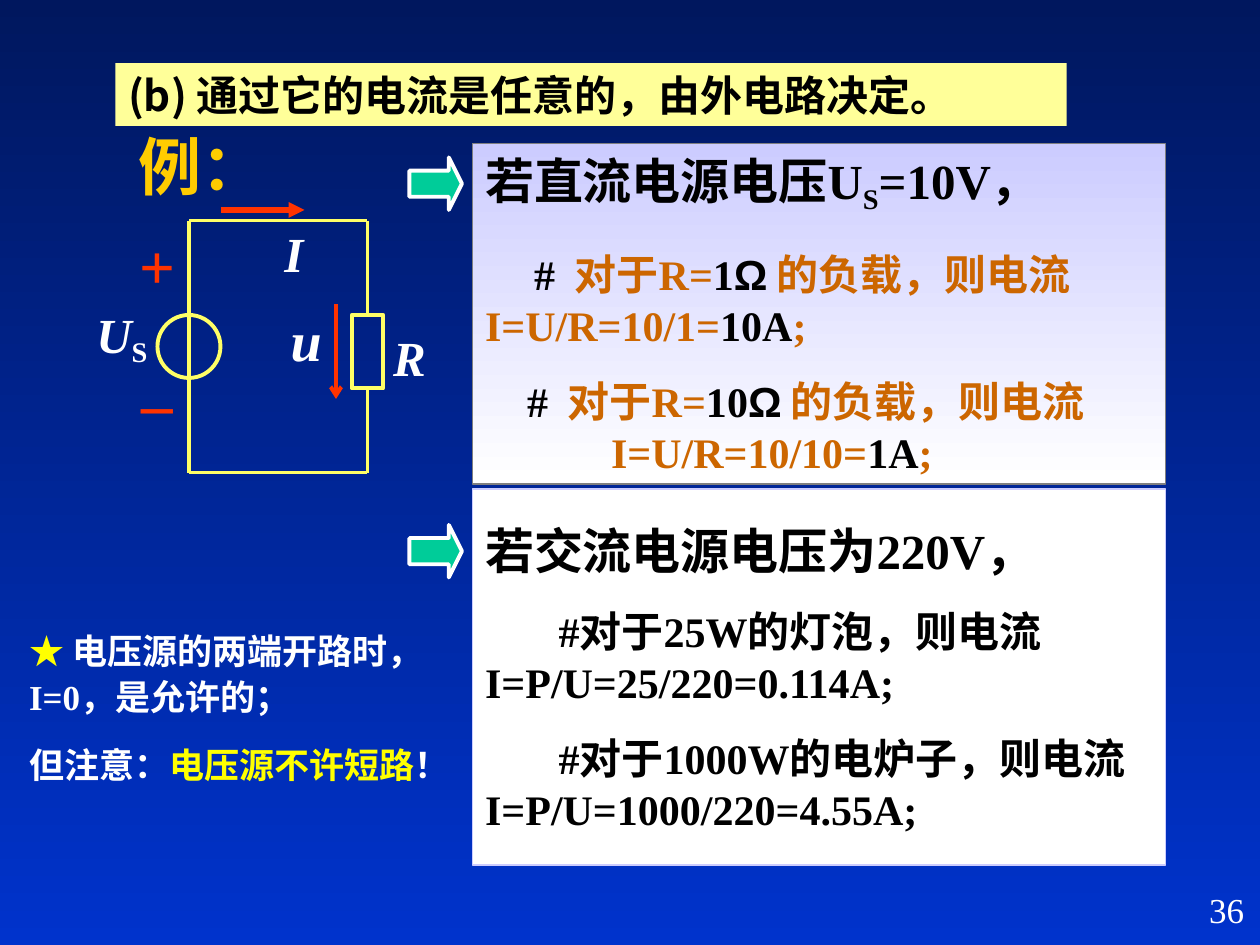
from dataclasses import dataclass
from typing import NamedTuple

from lxml import etree
from pptx import Presentation
from pptx.dml.color import RGBColor
from pptx.enum.shapes import MSO_CONNECTOR, MSO_SHAPE
from pptx.enum.text import MSO_ANCHOR, MSO_AUTO_SIZE, PP_ALIGN
from pptx.oxml.ns import qn
from pptx.util import Pt

RECT, OVAL, ARROW = MSO_SHAPE.RECTANGLE, MSO_SHAPE.OVAL, MSO_SHAPE.RIGHT_ARROW
STRAIGHT = MSO_CONNECTOR.STRAIGHT
LEFT, CENTER, RIGHT = PP_ALIGN.LEFT, PP_ALIGN.CENTER, PP_ALIGN.RIGHT
MIDDLE, TOP = MSO_ANCHOR.MIDDLE, MSO_ANCHOR.TOP
NO_FIT = MSO_AUTO_SIZE.NONE

NAVY = RGBColor(0x00, 0x17, 0x5E)
BLUE = RGBColor(0x00, 0x33, 0xCC)
WHITE = RGBColor(0xFF, 0xFF, 0xFF)
BLACK = RGBColor(0x00, 0x00, 0x00)
GRAY = RGBColor(0x80, 0x80, 0x80)
LAVENDER = RGBColor(0xCC, 0xCC, 0xFF)
CREAM = RGBColor(0xFF, 0xFF, 0x99)
WIRE = RGBColor(0xFF, 0xFF, 0x66)
YELLOW = RGBColor(0xFF, 0xFF, 0x00)
GOLD = RGBColor(0xFF, 0xCC, 0x00)
RED = RGBColor(0xFF, 0x33, 0x00)
ORANGE = RGBColor(0xCC, 0x66, 0x00)
GREEN = RGBColor(0x00, 0xCC, 0x99)

SERIF, SANS, SANS_KR = "Times New Roman", "Noto Sans CJK SC", "Noto Sans CJK KR"
BREAK = "\n"


class Box(NamedTuple):
    x: float
    y: float
    w: float
    h: float


class Run(NamedTuple):
    text: str
    size: float
    color: RGBColor
    font: dict = {}
    attrs: dict = {}


@dataclass
class Para:
    runs: list
    before: float = 0
    margin: float = 0
    indent: float = 0
    align: int = LEFT
    spacing: float = 1


@dataclass
class Label:
    box: Box
    paras: list
    anchor: int = MIDDLE


@dataclass
class Wire:
    start: tuple
    end: tuple
    color: RGBColor = WIRE
    width: float = 2.25
    head: str = ""


@dataclass
class Panel:
    box: Box
    top: RGBColor
    line: RGBColor
    paras: list


def gradient(fill, first: RGBColor, last: RGBColor) -> None:
    fill.gradient()
    fill.gradient_angle = 270
    for stop, color in zip(fill.gradient_stops, (first, last)):
        stop.color.rgb = color


def place(sp, box: Box) -> None:
    sp.left, sp.top, sp.width, sp.height = map(Pt, box)


def add_run(p, run: Run) -> None:
    if run.text == BREAK:
        p.add_line_break()
        return
    r = p.add_run()
    r.text = run.text
    fmt = {"name": SERIF, "size": Pt(run.size), "bold": True, **run.font}
    for key, value in fmt.items():
        setattr(r.font, key, value)
    r.font.color.rgb = run.color
    rPr = r.font._element
    for key, value in run.attrs.items():
        rPr.set(key, value)
    face = fmt["name"] if fmt["name"] == SANS_KR else SANS
    rPr.find(qn("a:latin")).addnext(etree.Element(qn("a:ea"), typeface=face))


def fill_text(sp, paras: list, anchor: int = MIDDLE) -> None:
    tf = sp.text_frame
    fmt = {"word_wrap": True, "auto_size": NO_FIT, "vertical_anchor": anchor}
    for key, value in fmt.items():
        setattr(tf, key, value)
    for i, para in enumerate(paras):
        p = tf.paragraphs[0] if i == 0 else tf.add_paragraph()
        pPr = p._p.get_or_add_pPr()
        pPr.set("marL", str(Pt(para.margin)))
        pPr.set("indent", str(Pt(para.indent)))
        etree.SubElement(pPr, qn("a:buNone"))
        fmt = {"alignment": para.align, "space_before": Pt(para.before),
               "line_spacing": para.spacing}
        for key, value in fmt.items():
            setattr(p, key, value)
        for run in para.runs:
            add_run(p, run)


def add_label(slide, label: Label) -> None:
    sp = slide.shapes.add_textbox(*map(Pt, label.box))
    fill_text(sp, label.paras, label.anchor)


def add_figure(slide, kind: int, box: Box, line: RGBColor, fill=None):
    sp = slide.shapes.add_shape(kind, *map(Pt, box))
    sp.shadow.inherit = False
    if fill is None:
        sp.fill.background()
    else:
        sp.fill.solid()
        sp.fill.fore_color.rgb = fill
    sp.line.color.rgb = line
    sp.line.width = Pt(2.25)
    return sp


def add_wire(slide, wire: Wire):
    s = slide.shapes.add_connector(STRAIGHT, *map(Pt, wire.start + wire.end))
    s.line.color.rgb = wire.color
    s.line.width = Pt(wire.width)
    if wire.head:
        etree.SubElement(s.line._get_or_add_ln(), qn("a:tailEnd"), type=wire.head)
    etree.SubElement(s._element.spPr, qn("a:effectLst"))
    return s


def symbol(box: Box, text: str, size: float, color=WHITE, italic=True, align=CENTER, sub=()) -> Label:
    return Label(box, [Para([Run(text, size, color, {"italic": italic}), *sub], align=align)])


def dc_case(ohms: str, formula: str, amps: str, before: float, margin: float, indent: float) -> Para:
    return Para([
        Run("# ", 24, BLACK, attrs={"spc": "260"}), Run("对于R=", 24, ORANGE), Run(ohms, 24, BLACK),
        Run("Ω", 24, BLACK, {"name": "Arial"}), Run(" ", 20, ORANGE),
        Run("的负载，则电流", 24, ORANGE), Run(BREAK, 24, ORANGE),
        Run(formula, 24, ORANGE), Run(amps, 24, BLACK), Run(";", 24, ORANGE),
    ], before, margin, indent)


def ac_case(load: str, gap: Run, formula: str) -> Para:
    return Para([Run(load, 24, BLACK), gap, Run(formula, 24, BLACK)], before=15, indent=42)


PANELS = [
    Panel(Box(270, 82, 396, 194.5), LAVENDER, GRAY, [
        Para([Run("若直流电源电压U", 28, BLACK), Run("S", 28, BLACK, attrs={"baseline": "-20000"}),
              Run("=10V，", 28, BLACK)]),
        dc_case("1", "I=U/R=10/1=", "10A", 19, 0, 28),
        dc_case("10", "I=U/R=10/10=", "1A", 15, 72, -48),
    ]),
    Panel(Box(270, 279.5, 396, 215), WHITE, LAVENDER, [
        Para([Run("若交流电源电压为220V，", 28, BLACK)]),
        ac_case("#对于25W的灯泡，则电流", Run(BREAK, 24, BLACK), "I=P/U=25/220=0.114A;"),
        ac_case("#对于1000W的电炉子，则电流", Run(" ", 24, BLACK, attrs={"spc": "4260"}),
                "I=P/U=1000/220=4.55A;"),
    ]),
]
LABELS = [
    symbol(Box(72, 69, 90, 50.5), "例：", 36, GOLD, False, LEFT),
    symbol(Box(48, 170, 54, 44), "U", 28, align=LEFT,
           sub=[Run("S", 28, WHITE, attrs={"baseline": "-18000"})]),
    symbol(Box(60, 126, 60, 50.5), "+", 36, RED, False),
    symbol(Box(60, 204, 60, 50.5), "–", 36, RED, False),
    symbol(Box(216, 183.5, 36, 41), "R", 28),
    symbol(Box(150, 124, 36, 41), "I", 28),
    symbol(Box(159, 170.5, 42, 46), "u", 32, align=LEFT),
    Label(Box(9.5, 353.5, 276, 99), [
        Para([Run("★ ", 20, YELLOW, {"name": SANS_KR}), Run("电压源的两端开路时，", 20, WHITE),
              Run(BREAK, 20, WHITE), Run("I=0，是允许的；", 20, WHITE)], spacing=1.1),
        Para([Run("但注意：", 20, WHITE), Run("电压源不许短路", 20, YELLOW), Run("！", 20, WHITE)],
             before=12.5, spacing=1.1),
    ]),
    Label(Box(568, 504, 150, 36), [Para([Run("36", 20, WHITE, {"bold": False})], align=RIGHT)], TOP),
]
WIRES = [
    Wire((108, 126), (108, 270)),
    Wire((108, 126), (210, 126)),
    Wire((108, 270), (210, 270)),
    Wire((126, 120), (174, 120), RED, 3, "triangle"),
    Wire((192, 174), (192, 228), RED, 2.25, "arrow"),
]


def main() -> None:
    prs = Presentation()
    prs.slide_width, prs.slide_height = Pt(720), Pt(540)
    slide = prs.slides.add_slide(prs.slide_layouts[3])
    gradient(slide.background.fill, NAVY, BLUE)

    title, *bodies = slide.placeholders
    place(title, Box(66, 36, 543.5, 36))
    title.fill.solid()
    title.fill.fore_color.rgb = CREAM
    fill_text(title, [Para([Run("(b) 通过它的电流是任意的，由外电路决定。", 24, BLACK, {"name": SANS})])])

    for sp, panel in zip(bodies, PANELS):
        place(sp, panel.box)
        gradient(sp.fill, panel.top, WHITE)
        sp.line.color.rgb = panel.line
        sp.line.width = Pt(1)
        fill_text(sp, panel.paras)

    for wire in WIRES:
        add_wire(slide, wire)
    add_figure(slide, OVAL, Box(90, 180, 36, 36), WIRE)
    resistor = add_figure(slide, RECT, Box(201, 180, 18, 42), WIRE)
    for corner, side, site in ((126, 180, 0), (270, 222, 2)):
        add_wire(slide, Wire((210, corner), (210, side))).end_connect(resistor, site)
    for y in (90, 300):
        sp = add_figure(slide, ARROW, Box(234, y, 30, 30), WHITE, GREEN)
        sp.adjustments[0], sp.adjustments[1] = 0.5, 0.25
    for label in LABELS:
        add_label(slide, label)
    prs.save("out.pptx")


if __name__ == "__main__":
    main()
